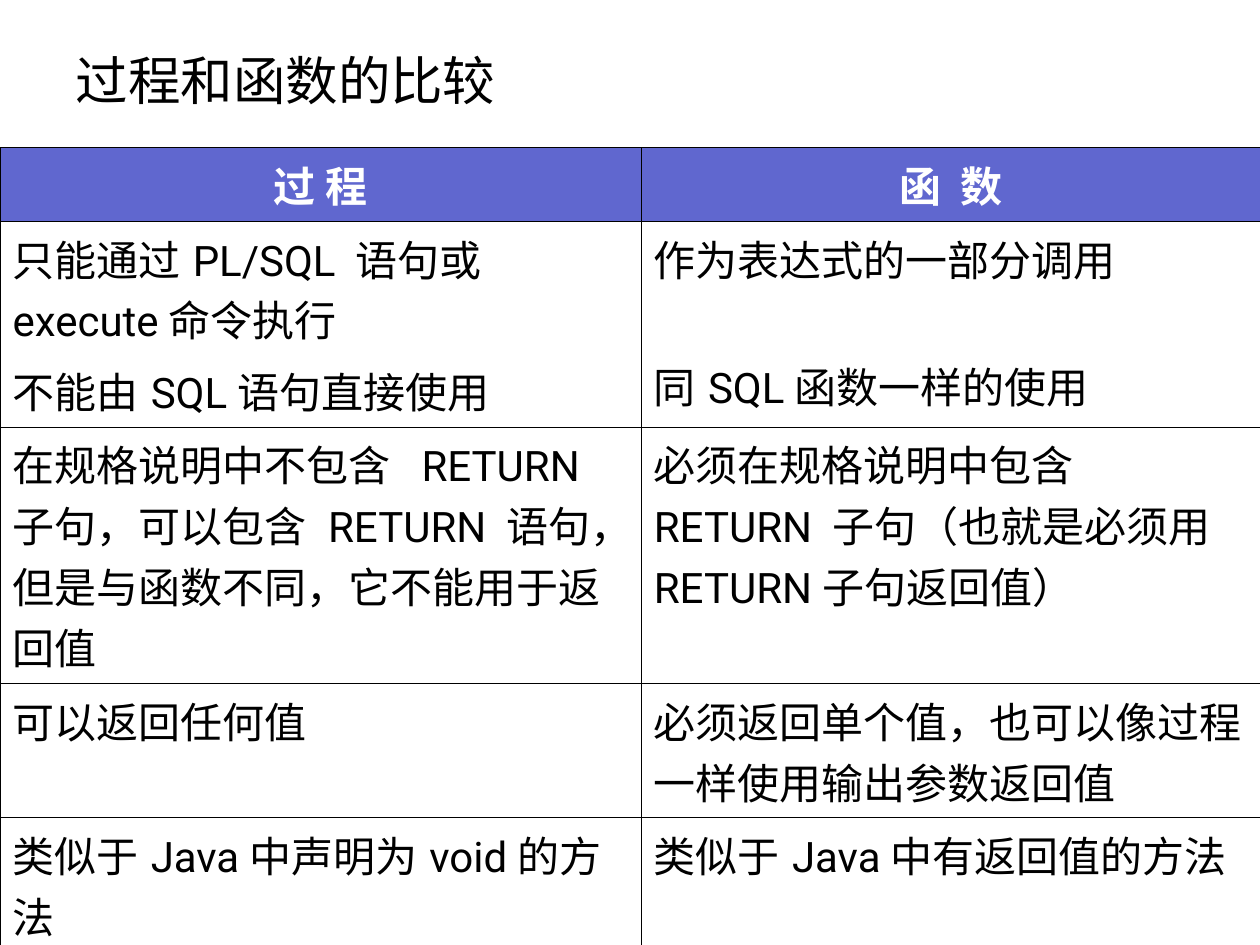
from lxml import etree
from pptx import Presentation
from pptx.dml.color import RGBColor
from pptx.enum.text import MSO_ANCHOR, PP_ALIGN
from pptx.oxml.ns import qn
from pptx.util import Inches, Pt

LEFT, CENTER = PP_ALIGN.LEFT, PP_ALIGN.CENTER
TOP, MIDDLE = MSO_ANCHOR.TOP, MSO_ANCHOR.MIDDLE
COLORS = {"text": "000000", "header": "6067CF", "header_text": "FFFFFF", "border": "000000"}
CHINESE_FONT, LATIN_FONT = "Noto Sans CJK SC", "Roboto"
BORDER_WIDTH = Pt(0.45)
PARAGRAPH_GAP, ALIGNED_GAP = 6, 38
COLUMN_WIDTHS = [5.09, 4.91]
ROW_HEIGHTS = [0.5, 1.47, 1.7, 0.9, 1.08]
HEADERS = ["过 程", "函  数"]
COMPARISONS = [
    (["只能通过PL/SQL 语句或execute命令执行", "不能由SQL语句直接使用"],
     ["作为表达式的一部分调用", "同SQL函数一样的使用"]),
    (["在规格说明中不包含  RETURN 子句，可以包含 RETURN 语句，但是与函数不同，它不能用于返回值"],
     ["必须在规格说明中包含 RETURN 子句（也就是必须用RETURN子句返回值）"]),
    (["可以返回任何值"], ["必须返回单个值，也可以像过程一样使用输出参数返回值"]),
    (["类似于Java中声明为void的方法"], ["类似于Java中有返回值的方法"]),
]


def add_text(paragraph, text, size, color, latin=LATIN_FONT, bold=False):
    """Add one formatted run with Latin and Chinese fonts."""
    run = paragraph.add_run()
    run.text = text
    run.font.size = Pt(size)
    run.font.bold = bold
    run.font.name = latin
    run.font.color.rgb = RGBColor.from_string(COLORS[color])
    east_asian = etree.Element(qn("a:ea"), typeface=CHINESE_FONT)
    run.font._element.find(qn("a:latin")).addnext(east_asian)


def set_borders(cell):
    """Draw a thin line on each side of a cell."""
    properties = cell._tc.get_or_add_tcPr()
    for position, side in enumerate(("lnL", "lnR", "lnT", "lnB")):
        line = etree.Element(qn(f"a:{side}"), w=str(BORDER_WIDTH))
        fill = etree.SubElement(line, qn("a:solidFill"))
        etree.SubElement(fill, qn("a:srgbClr"), val=COLORS["border"])
        properties.insert(position, line)


def fill_cell(cell, lines, gap=PARAGRAPH_GAP, header=False):
    """Write the paragraphs of a header or body cell."""
    if header:
        cell.fill.solid()
        cell.fill.fore_color.rgb = RGBColor.from_string(COLORS["header"])
    else:
        cell.fill.background()
    set_borders(cell)
    cell.vertical_anchor = MIDDLE if header else TOP
    for index, text in enumerate(lines):
        paragraph = cell.text_frame.add_paragraph() if index else cell.text_frame.paragraphs[0]
        paragraph.alignment = CENTER if header else LEFT
        if index:
            paragraph.space_before = Pt(gap)
        add_text(paragraph, text, 24, "header_text" if header else "text", bold=header)


def place_title(slide, left, top, width, height):
    """Place and format the title placeholder."""
    title = slide.shapes.title
    title.left, title.top, title.width, title.height = map(Inches, (left, top, width, height))
    title.text_frame.vertical_anchor = MIDDLE
    paragraph = title.text_frame.paragraphs[0]
    paragraph.alignment = LEFT
    add_text(paragraph, "过程和函数的比较", 30, "text", CHINESE_FONT)


def place_comparison(slide, left, top, width, height):
    """Place the table comparing procedures with functions."""
    frame = slide.shapes.add_table(len(ROW_HEIGHTS), len(COLUMN_WIDTHS),
                                   *map(Inches, (left, top, width, height)))
    table = frame.table
    table.horz_banding = False
    for column, column_width in zip(table.columns, COLUMN_WIDTHS):
        column.width = Inches(column_width)
    for row, row_height in zip(table.rows, ROW_HEIGHTS):
        row.height = Inches(row_height)
    for index, text in enumerate(HEADERS):
        fill_cell(table.cell(0, index), [text], header=True)
    for row, (procedure, function) in enumerate(COMPARISONS, start=1):
        fill_cell(table.cell(row, 0), procedure)
        fill_cell(table.cell(row, 1), function, gap=ALIGNED_GAP)


def main():
    """Build and save the presentation."""
    presentation = Presentation()
    presentation.slide_width, presentation.slide_height = Inches(10), Inches(7.5)
    slide = presentation.slides.add_slide(presentation.slide_layouts[5])
    place_title(slide, 0.5, 0.17, 8.25, 0.92)
    place_comparison(slide, 0, 1.17, sum(COLUMN_WIDTHS), sum(ROW_HEIGHTS))
    presentation.save("out.pptx")


if __name__ == "__main__":
    main()
